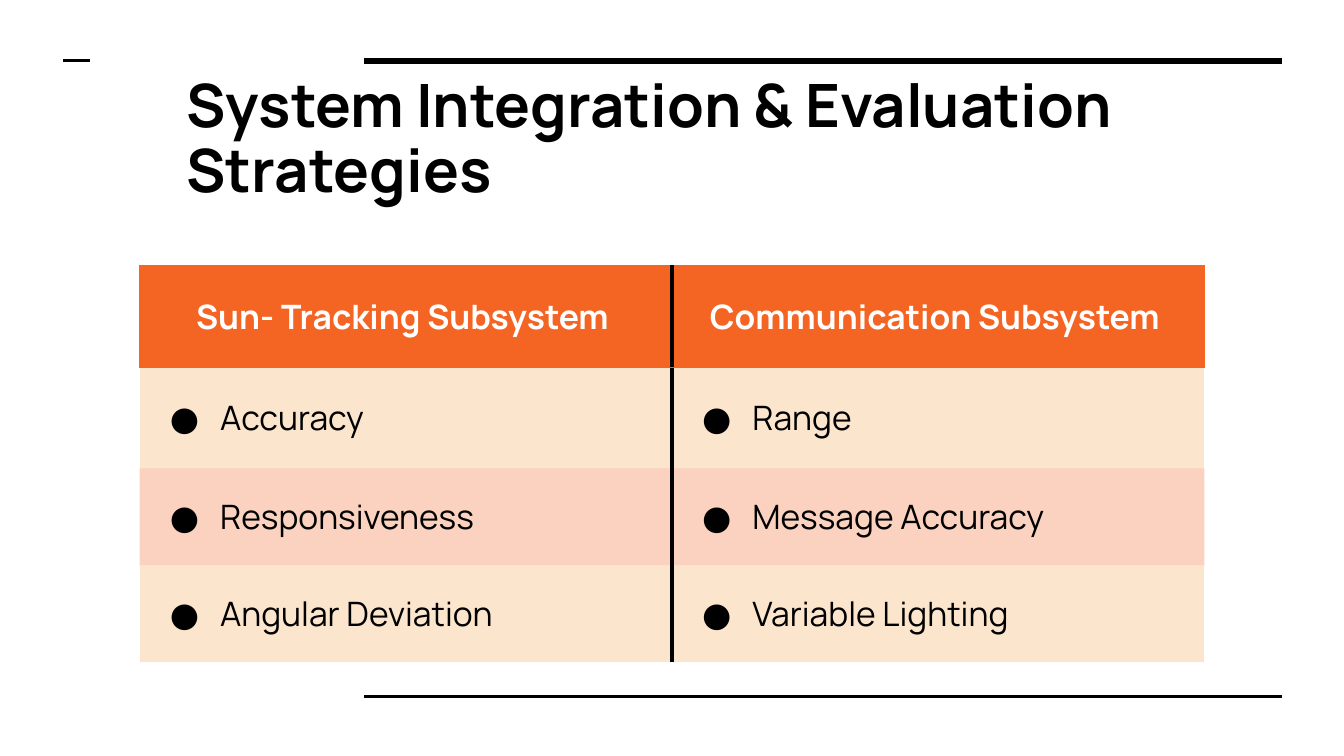
from dataclasses import dataclass

from lxml import etree
from pptx import Presentation
from pptx.dml.color import RGBColor
from pptx.enum.shapes import MSO_CONNECTOR
from pptx.enum.text import MSO_ANCHOR, PP_ALIGN
from pptx.oxml.ns import qn
from pptx.util import Cm, Pt

STRAIGHT = MSO_CONNECTOR.STRAIGHT
TOP, MIDDLE = MSO_ANCHOR.TOP, MSO_ANCHOR.MIDDLE
LEFT, CENTER = PP_ALIGN.LEFT, PP_ALIGN.CENTER

BLACK = RGBColor(0x00, 0x00, 0x00)
WHITE = RGBColor(0xFF, 0xFF, 0xFF)
ORANGE = RGBColor(0xF4, 0x65, 0x24)
CREAM = RGBColor(0xFC, 0xE5, 0xCD)

FONT = "Manrope"
INSET = Cm(0.25)
COL_WIDTH = Cm(10.06)
TITLE_FORMAT = {"name": FONT, "size": Pt(32), "bold": True}
HEAD_FORMAT = {"name": FONT, "size": Pt(18), "bold": True}
BODY_FORMAT = {"name": FONT, "size": Pt(18), "bold": False}
MARGINS = {f"margin_{side}": INSET for side in ("left", "right", "top", "bottom")}


@dataclass
class Rule:
    left: float
    right: float
    top: float
    weight: float


@dataclass
class Row:
    texts: tuple[str, str]
    height: float
    fill: RGBColor
    opacity: int = 100
    header: bool = False


RULES = [
    Rule(6.88, 24.23, 1.15, 3),
    Rule(6.88, 24.23, 13.16, 1.5),
    Rule(1.19, 1.7, 1.15, 1.5),
]
ROWS = [
    Row(("Sun- Tracking Subsystem ", "Communication Subsystem "), 1.92, ORANGE, header=True),
    Row(("Accuracy", "Range"), 1.92, CREAM),
    Row(("Responsiveness", "Message Accuracy"), 1.83, ORANGE, opacity=29),
    Row(("Angular Deviation", "Variable Lighting"), 1.83, CREAM),
]


def set_attrs(target, values: dict) -> None:
    for name, value in values.items():
        setattr(target, name, value)


def write(p, text: str, values: dict, color: RGBColor) -> None:
    r = p.add_run()
    r.text = text
    set_attrs(r.font, values)
    r.font.color.rgb = color


def add_rule(s, rule: Rule) -> None:
    line = s.shapes.add_connector(
        STRAIGHT, Cm(rule.left), Cm(rule.top), Cm(rule.right), Cm(rule.top))
    line.line.color.rgb = BLACK
    line.line.width = Pt(rule.weight)
    etree.SubElement(line._element.spPr, qn("a:effectLst"))


def add_title(s, text: str) -> None:
    sp = s.shapes.add_textbox(Cm(3.28), Cm(1.19), Cm(21.62), Cm(3.18))
    tf = sp.text_frame
    set_attrs(tf, {"word_wrap": True, "vertical_anchor": TOP, **MARGINS})
    p = tf.paragraphs[0]
    p.line_spacing = 0.9
    write(p, text, TITLE_FORMAT, BLACK)


def set_border(tc_pr, side: str, color: RGBColor | None, weight: float) -> None:
    ln = etree.SubElement(tc_pr, qn(f"a:ln{side}"), w=str(Pt(weight)))
    if color is None:
        etree.SubElement(ln, qn("a:noFill"))
    else:
        solid = etree.SubElement(ln, qn("a:solidFill"))
        etree.SubElement(solid, qn("a:srgbClr"), val=str(color))


def add_bullet(p) -> None:
    p_pr = p._p.get_or_add_pPr()
    p_pr.set("marL", str(Cm(1.27)))
    p_pr.set("indent", str(Cm(-0.95)))
    color = etree.SubElement(p_pr, qn("a:buClr"))
    etree.SubElement(color, qn("a:srgbClr"), val=str(BLACK))
    etree.SubElement(p_pr, qn("a:buFont"), typeface=FONT)
    etree.SubElement(p_pr, qn("a:buChar"), char="●")


def fill_cell(cell, row: Row, col: int, below_header: bool) -> None:
    set_attrs(cell, {"vertical_anchor": MIDDLE, **MARGINS})
    tc_pr = cell._tc.get_or_add_tcPr()
    edge = ORANGE if row.header else None
    divider = (BLACK, 3)
    borders = {
        "L": divider if col == 1 else (edge, 0.75),
        "R": divider if col == 0 else (edge, 0.75),
        "T": (ORANGE if below_header else edge, 0.75),
        "B": (edge, 0.75),
    }
    for side, (color, weight) in borders.items():
        set_border(tc_pr, side, color, weight)

    cell.fill.solid()
    cell.fill.fore_color.rgb = row.fill
    if row.opacity < 100:
        color = tc_pr.find(qn("a:solidFill")).find(qn("a:srgbClr"))
        etree.SubElement(color, qn("a:alpha"), val=str(row.opacity * 1000))

    p = cell.text_frame.paragraphs[0]
    p.alignment = CENTER if row.header else LEFT
    if row.header:
        write(p, row.texts[col], HEAD_FORMAT, WHITE)
    else:
        add_bullet(p)
        write(p, row.texts[col], BODY_FORMAT, BLACK)


def add_subsystem_table(s, rows: list[Row]) -> None:
    height = Cm(sum(row.height for row in rows))
    table = s.shapes.add_table(
        len(rows), 2, Cm(2.64), Cm(5.02), 2 * COL_WIDTH, height).table
    table.horz_banding = False
    for column in table.columns:
        column.width = COL_WIDTH
    for i, row in enumerate(rows):
        table.rows[i].height = Cm(row.height)
        for col in range(2):
            fill_cell(table.cell(i, col), row, col, i == 1)


def main() -> None:
    prs = Presentation()
    prs.slide_width, prs.slide_height = Cm(25.4), Cm(14.29)
    s = prs.slides.add_slide(prs.slide_layouts[6])
    for rule in RULES:
        add_rule(s, rule)
    add_title(s, "System Integration & Evaluation Strategies")
    add_subsystem_table(s, ROWS)
    prs.save("out.pptx")


if __name__ == "__main__":
    main()
